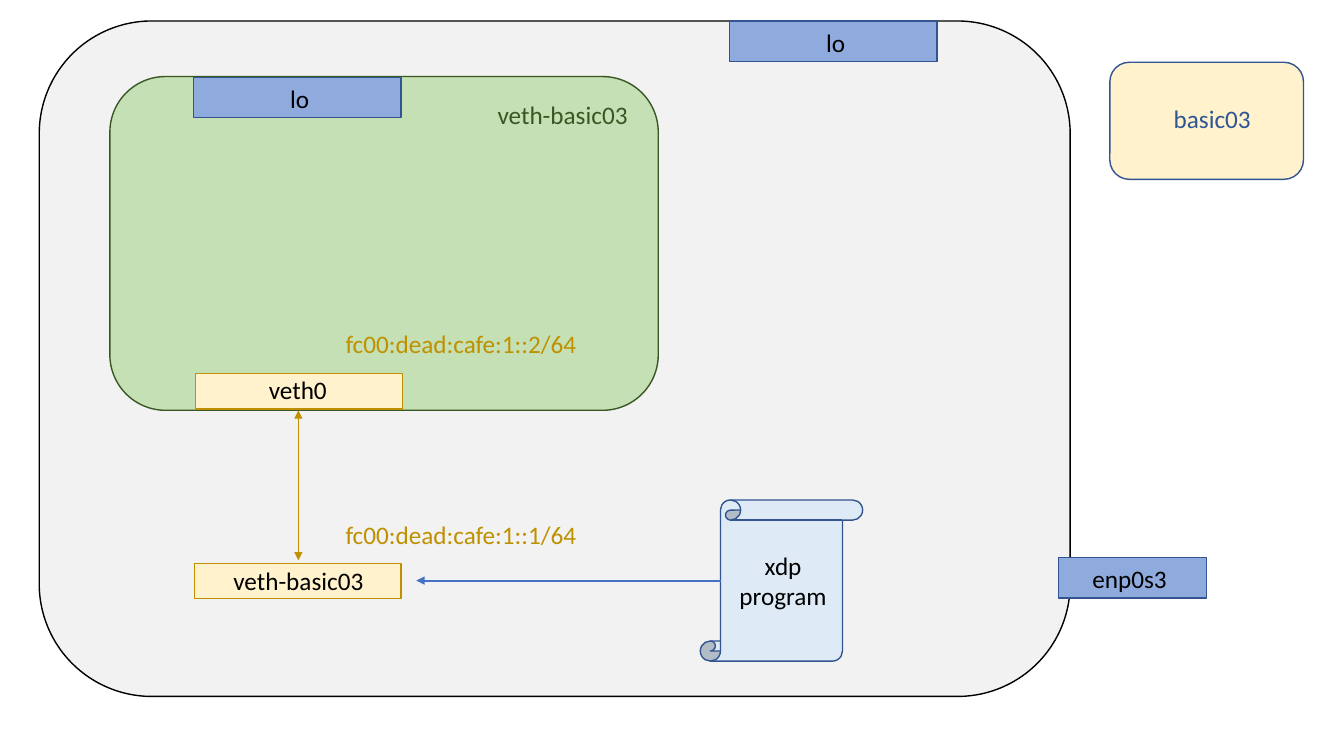
from lxml.etree import SubElement
from pptx import Presentation
from pptx.dml.color import RGBColor
from pptx.enum.shapes import MSO_CONNECTOR, MSO_SHAPE
from pptx.enum.text import MSO_AUTO_SIZE, PP_ALIGN
from pptx.oxml.ns import qn
from pptx.util import Cm, Pt

BLACK = RGBColor(0x00, 0x00, 0x00)
GREY = RGBColor(0xF2, 0xF2, 0xF2)
GREEN = RGBColor(0xC5, 0xE0, 0xB4)
DARK_GREEN = RGBColor(0x38, 0x57, 0x23)
CREAM = RGBColor(0xFF, 0xF2, 0xCC)
GOLD = RGBColor(0xBF, 0x90, 0x00)
BLUE = RGBColor(0x8F, 0xAA, 0xDC)
PALE_BLUE = RGBColor(0xDE, 0xEB, 0xF7)
OUTLINE_BLUE = RGBColor(0x32, 0x54, 0x91)
TEXT_BLUE = RGBColor(0x2F, 0x55, 0x97)
ARROW_BLUE = RGBColor(0x44, 0x72, 0xC4)


class Diagram:
    """Draws the parts of a network diagram on one slide; lengths in cm."""

    font_name = "Calibri"
    font_size = Pt(18)

    def __init__(self, slide):
        self.slide = slide

    def box(self, left, top, width, height, fill, line, kind=MSO_SHAPE.RECTANGLE):
        s = self.slide.shapes.add_shape(kind, Cm(left), Cm(top), Cm(width), Cm(height))
        s.shadow.inherit = False
        s.fill.solid()
        s.fill.fore_color.rgb = fill
        s.line.color.rgb = line
        s.line.width = Pt(1)

    def label(self, text, left, top, width, height=1.02, color=BLACK, align=PP_ALIGN.LEFT):
        s = self.slide.shapes.add_textbox(Cm(left), Cm(top), Cm(width), Cm(height))
        tf = s.text_frame
        tf.word_wrap = True
        tf.auto_size = MSO_AUTO_SIZE.SHAPE_TO_FIT_TEXT
        tf.text = text
        for p in tf.paragraphs:
            p.alignment = align
            p.font.name = self.font_name
            p.font.size = self.font_size
            p.font.color.rgb = color

    def arrow(self, x1, y1, x2, y2, color, width, ends=("tailEnd",)):
        s = self.slide.shapes.add_connector(
            MSO_CONNECTOR.STRAIGHT, Cm(x1), Cm(y1), Cm(x2), Cm(y2))
        s.line.color.rgb = color
        s.line.width = Pt(width)
        ln = s.line._get_or_add_ln()
        for end in ends:
            SubElement(ln, qn("a:" + end), type="triangle")
        SubElement(s._element.spPr, qn("a:effectLst"))


def main():
    prs = Presentation()
    prs.slide_width, prs.slide_height = Cm(33.87), Cm(19.05)
    d = Diagram(prs.slides.add_slide(prs.slide_layouts[6]))
    rounded, center = MSO_SHAPE.ROUNDED_RECTANGLE, PP_ALIGN.CENTER

    # Host and its network namespace
    d.box(0.99, 0.53, 25.98, 17.02, GREY, BLACK, rounded)
    d.box(2.77, 1.93, 13.82, 8.41, GREEN, DARK_GREEN, rounded)
    d.label("veth-basic03", 12.29, 2.39, 4.88, 1.8, DARK_GREEN)

    # Veth pair
    d.box(4.93, 9.42, 5.21, 0.89, CREAM, GOLD)
    d.label("veth0", 4.9, 9.3, 5.21, align=center)
    d.box(4.9, 14.2, 5.21, 0.89, CREAM, GOLD)
    d.label("veth-basic03", 4.55, 14.12, 5.94, align=center)
    d.arrow(7.52, 10.34, 7.52, 14.12, GOLD, 0.5, ("headEnd", "tailEnd"))

    # Addresses
    for address, top in (("fc00:dead:cafe:1::2/64", 8.15),
                         ("fc00:dead:cafe:1::1/64", 12.95)):
        d.label(address, 8.46, top, 7.67, color=GOLD)

    # Loopback and physical interfaces
    for name, left, top, width, indent in (("lo", 18.39, 0.53, 5.23, 2.18),
                                           ("lo", 4.88, 1.95, 5.23, 2.18),
                                           ("enp0s3", 26.67, 14.05, 3.73, 0.61)):
        d.box(left, top, width, 1.02, BLUE, OUTLINE_BLUE)
        d.label(name, left + indent, top + 0.03, 2.51)

    # Lesson name
    d.box(27.97, 1.57, 4.88, 2.95, CREAM, OUTLINE_BLUE, rounded)
    d.label("basic03", 28.52, 2.49, 4.06, color=TEXT_BLUE, align=center)

    # XDP program attached to the outer veth
    d.box(17.65, 12.6, 4.09, 4.06, PALE_BLUE, OUTLINE_BLUE, MSO_SHAPE.VERTICAL_SCROLL)
    d.label("xdp\nprogram", 18.21, 13.74, 3.05, 1.8, align=center)
    d.arrow(18.16, 14.63, 10.49, 14.63, ARROW_BLUE, 1.5)

    prs.save("out.pptx")


if __name__ == "__main__":
    main()
